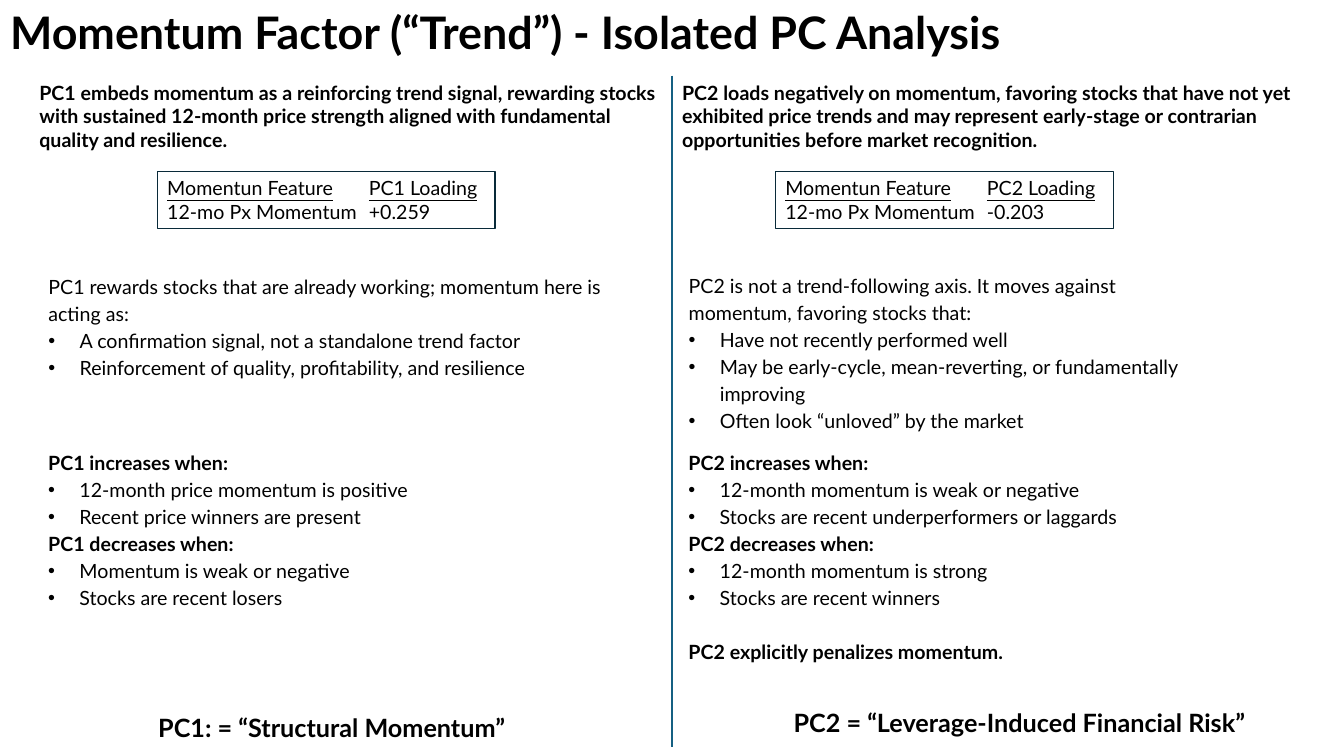
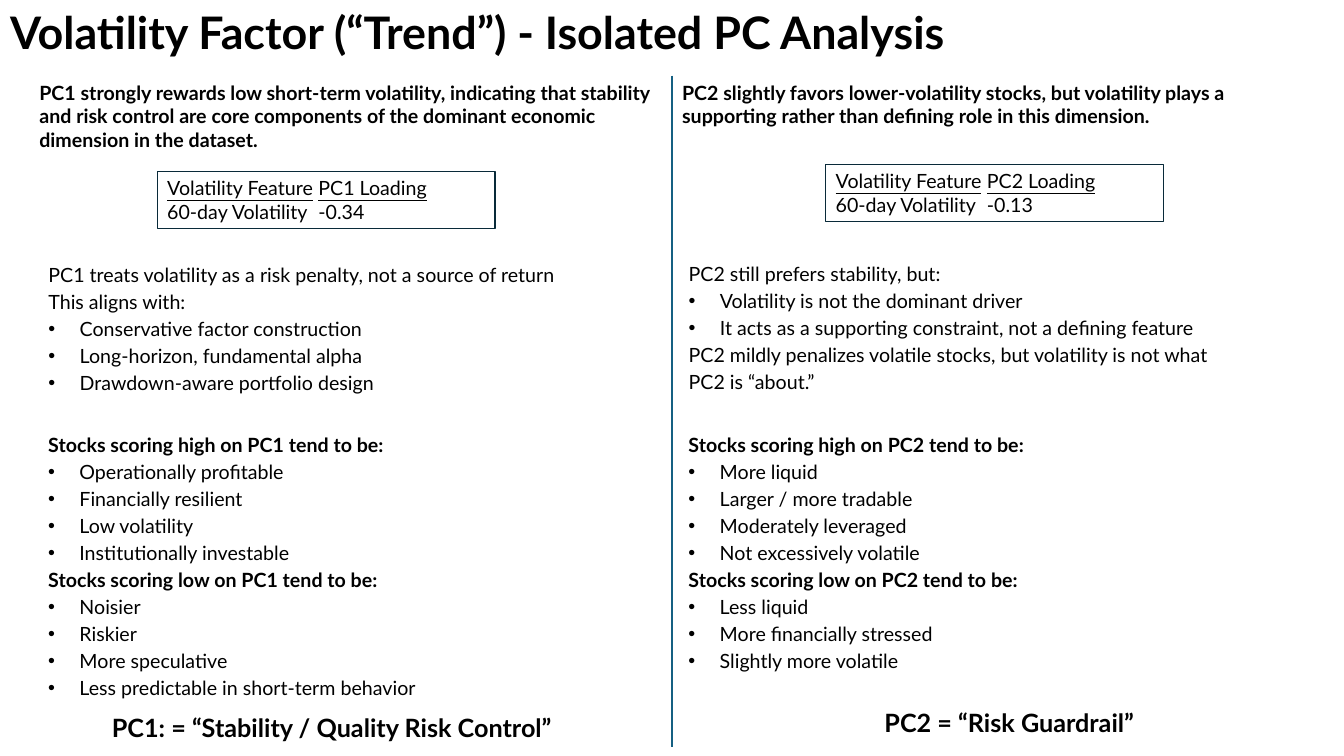
from lxml.etree import SubElement
from pptx import Presentation
from pptx.dml.color import RGBColor
from pptx.enum.shapes import MSO_CONNECTOR, MSO_SHAPE
from pptx.enum.text import MSO_ANCHOR, MSO_AUTO_SIZE, PP_ALIGN
from pptx.oxml.ns import qn
from pptx.util import Inches, Pt

BLACK = RGBColor(0x00, 0x00, 0x00)
NAVY = RGBColor(0x09, 0x2A, 0x39)
TEAL = RGBColor(0x15, 0x60, 0x82)
FONT = "Lato"
WIDTH, HEIGHT = 13.33, 7.5
MIDDLE = WIDTH / 2
LOOSE = 1.15
INDENT = 0.31
BODY_LINE = 0.27
TITLE_SIZE, BODY_SIZE, CONCLUSION_SIZE = 32, 14, 18
BULLET, PLAIN, HEAD, CLOSING = "bullet", "plain", "head", "closing"

CLAIM_LEFTS, CLAIM_WIDTHS = (0.29, MIDDLE), (6.37, 6.56)
LIST_LEFTS = (0.38, 6.73)
DRIVER_WIDTHS = (4.53, 5.11)
CONCLUSION_SPACING = (LOOSE, 1.0)


def bullets(*items):
    return [(BULLET, item) for item in items]


FACTORS = [
    {
        "title": "Momentum Factor (“Trend”) - Isolated PC Analysis",
        "drivers_top": 4.39,
        "panels": [
            {
                "claim": "PC1 embeds momentum as a reinforcing trend signal, rewarding stocks with sustained "
                         "12-month price strength aligned with fundamental quality and resilience.",
                "loading": ("Momentun Feature\tPC1 Loading", "12-mo Px Momentum\t+0.259"),
                "loading_at": (1.56, 1.7),
                "meaning_box": (2.64, 6.09),
                "meaning": [
                    (PLAIN, "PC1 rewards stocks that are already working; momentum here is acting as:"),
                    *bullets("A confirmation signal, not a standalone trend factor",
                             "Reinforcement of quality, profitability, and resilience"),
                ],
                "drivers": [
                    (HEAD, "PC1 increases when:"),
                    *bullets("12-month price momentum is positive", "Recent price winners are present"),
                    (HEAD, "PC1 decreases when:"),
                    *bullets("Momentum is weak or negative", "Stocks are recent losers"),
                ],
                "conclusion": "PC1: = “Structural Momentum”",
                "conclusion_center": 3.29,
            },
            {
                "claim": "PC2 loads negatively on momentum, favoring stocks that have not yet exhibited price "
                         "trends and may represent early-stage or contrarian opportunities before market "
                         "recognition.",
                "loading": ("Momentun Feature\tPC2 Loading", "12-mo Px Momentum\t-0.203"),
                "loading_at": (7.69, 1.7),
                "meaning_box": (2.63, 5.48),
                "meaning": [
                    (PLAIN, "PC2 is not a trend-following axis. It moves against momentum, "
                            "favoring stocks that:"),
                    *bullets("Have not recently performed well",
                             "May be early-cycle, mean-reverting, or fundamentally improving",
                             "Often look “unloved” by the market"),
                ],
                "drivers": [
                    (HEAD, "PC2 increases when:"),
                    *bullets("12-month momentum is weak or negative",
                             "Stocks are recent underperformers or laggards"),
                    (HEAD, "PC2 decreases when:"),
                    *bullets("12-month momentum is strong", "Stocks are recent winners"),
                    (CLOSING, "PC2 explicitly penalizes momentum."),
                ],
                "conclusion": "PC2 = “Leverage-Induced Financial Risk”",
                "conclusion_center": 10.11,
            },
        ],
    },
    {
        "title": "Volatility Factor (“Trend”) - Isolated PC Analysis",
        "drivers_top": 4.21,
        "panels": [
            {
                "claim": "PC1 strongly rewards low short-term volatility, indicating that stability and risk "
                         "control are core components of the dominant economic dimension in the dataset.",
                "loading": ("Volatility Feature\tPC1 Loading", "60-day Volatility\t-0.34"),
                "loading_at": (1.56, 1.7),
                "meaning_box": (2.52, 6.09),
                "meaning": [
                    (PLAIN, "PC1 treats volatility as a risk penalty, not a source of return"),
                    (PLAIN, "This aligns with:"),
                    *bullets("Conservative factor construction", "Long-horizon, fundamental alpha",
                             "Drawdown-aware portfolio design"),
                ],
                "drivers": [
                    (HEAD, "Stocks scoring high on PC1 tend to be:"),
                    *bullets("Operationally profitable", "Financially resilient", "Low volatility",
                             "Institutionally investable"),
                    (HEAD, "Stocks scoring low on PC1 tend to be:"),
                    *bullets("Noisier", "Riskier", "More speculative",
                             "Less predictable in short-term behavior"),
                ],
                "conclusion": "PC1: = “Stability / Quality Risk Control”",
                "conclusion_center": 3.29,
            },
            {
                "claim": "PC2 slightly favors lower-volatility stocks, but volatility plays a supporting "
                         "rather than defining role in this dimension.",
                "loading": ("Volatility Feature\tPC2 Loading", "60-day Volatility\t-0.13"),
                "loading_at": (8.19, 1.63),
                "meaning_box": (2.51, 5.69),
                "meaning": [
                    (PLAIN, "PC2 still prefers stability, but:"),
                    *bullets("Volatility is not the dominant driver",
                             "It acts as a supporting constraint, not a defining feature"),
                    (PLAIN, "PC2 mildly penalizes volatile stocks, but volatility is not what "
                            "PC2 is “about.”"),
                ],
                "drivers": [
                    (HEAD, "Stocks scoring high on PC2 tend to be:"),
                    *bullets("More liquid", "Larger / more tradable", "Moderately leveraged",
                             "Not excessively volatile"),
                    (HEAD, "Stocks scoring low on PC2 tend to be:"),
                    *bullets("Less liquid", "More financially stressed", "Slightly more volatile"),
                ],
                "conclusion": "PC2 = “Risk Guardrail”",
                "conclusion_center": 10.01,
            },
        ],
    },
]


def place(holder, left, top, width, height):
    holder.left, holder.top = Inches(left), Inches(top)
    holder.width, holder.height = Inches(width), Inches(height)
    return holder


def add_box(slide, *place_in_inches):
    return slide.shapes.add_textbox(*map(Inches, place_in_inches))


def set_bullet(paragraph, bulleted):
    properties = paragraph._p.get_or_add_pPr()
    indent = Inches(INDENT) if bulleted else 0
    properties.set("marL", str(indent))
    properties.set("indent", str(-indent))
    if bulleted:
        SubElement(properties, qn("a:buFont")).set("typeface", "Arial")
        SubElement(properties, qn("a:buChar")).set("char", "•")
    else:
        SubElement(properties, qn("a:buNone"))


def write(holder, lines, size=BODY_SIZE, spacing=1.0, align=PP_ALIGN.LEFT, underline_first=False):
    frame = holder.text_frame
    frame.word_wrap = True
    frame.auto_size = MSO_AUTO_SIZE.NONE
    frame.vertical_anchor = MSO_ANCHOR.TOP
    for number, (kind, text) in enumerate(lines):
        paragraph = frame.add_paragraph() if number else frame.paragraphs[0]
        paragraph.alignment = align
        paragraph.line_spacing = spacing
        paragraph.space_before = Pt(BODY_LINE * 72 if kind == CLOSING else 0)
        paragraph.space_after = Pt(0)
        set_bullet(paragraph, kind == BULLET)
        run = paragraph.add_run()
        run.text = text
        run.font.name = FONT
        run.font.size = Pt(size)
        run.font.bold = kind in (HEAD, CLOSING)
        run.font.underline = underline_first and number == 0
        run.font.color.rgb = BLACK


def add_divider(slide):
    divider = slide.shapes.add_connector(
        MSO_CONNECTOR.STRAIGHT, *map(Inches, (MIDDLE, 0.75, MIDDLE, 7.41)))
    divider.line.color.rgb = TEAL
    divider.line.width = Pt(1.5)
    SubElement(divider._element.spPr, qn("a:effectLst"))


def add_loading(slide, at, rows):
    loading = slide.shapes.add_shape(MSO_SHAPE.RECTANGLE, *map(Inches, (*at, 3.35, 0.57)))
    loading.shadow.inherit = False
    loading.fill.background()
    loading.line.color.rgb = NAVY
    loading.line.width = Pt(0.75)
    write(loading, [(PLAIN, row) for row in rows], underline_first=True)


def add_panel(slide, side, panel, drivers_top):
    claim, meaning = (slide.placeholders[2 * side + offset] for offset in (1, 2))
    place(claim, CLAIM_LEFTS[side], 0.75, CLAIM_WIDTHS[side], 0.81)
    write(claim, [(HEAD, panel["claim"])])
    add_loading(slide, panel["loading_at"], panel["loading"])

    left = LIST_LEFTS[side]
    top, width = panel["meaning_box"]
    place(meaning, left, top, width, drivers_top - top)
    write(meaning, panel["meaning"], spacing=LOOSE)

    drivers = panel["drivers"]
    drivers_box = add_box(slide, left, drivers_top, DRIVER_WIDTHS[side], BODY_LINE * len(drivers) + 0.1)
    write(drivers_box, drivers, spacing=LOOSE)

    conclusion = add_box(slide, panel["conclusion_center"] - 3.1, 6.97, 6.2, 0.43)
    write(conclusion, [(HEAD, panel["conclusion"])], CONCLUSION_SIZE,
          CONCLUSION_SPACING[side], PP_ALIGN.CENTER)


def main():
    deck = Presentation()
    deck.slide_width, deck.slide_height = Inches(WIDTH), Inches(HEIGHT)
    comparison = deck.slide_layouts.get_by_name("Comparison")
    for factor in FACTORS:
        slide = deck.slides.add_slide(comparison)
        title = place(slide.shapes.title, 0, 0, WIDTH, 0.64)
        write(title, [(HEAD, factor["title"])], TITLE_SIZE)
        add_divider(slide)
        for side, panel in enumerate(factor["panels"]):
            add_panel(slide, side, panel, factor["drivers_top"])
    deck.save("out.pptx")


if __name__ == "__main__":
    main()
